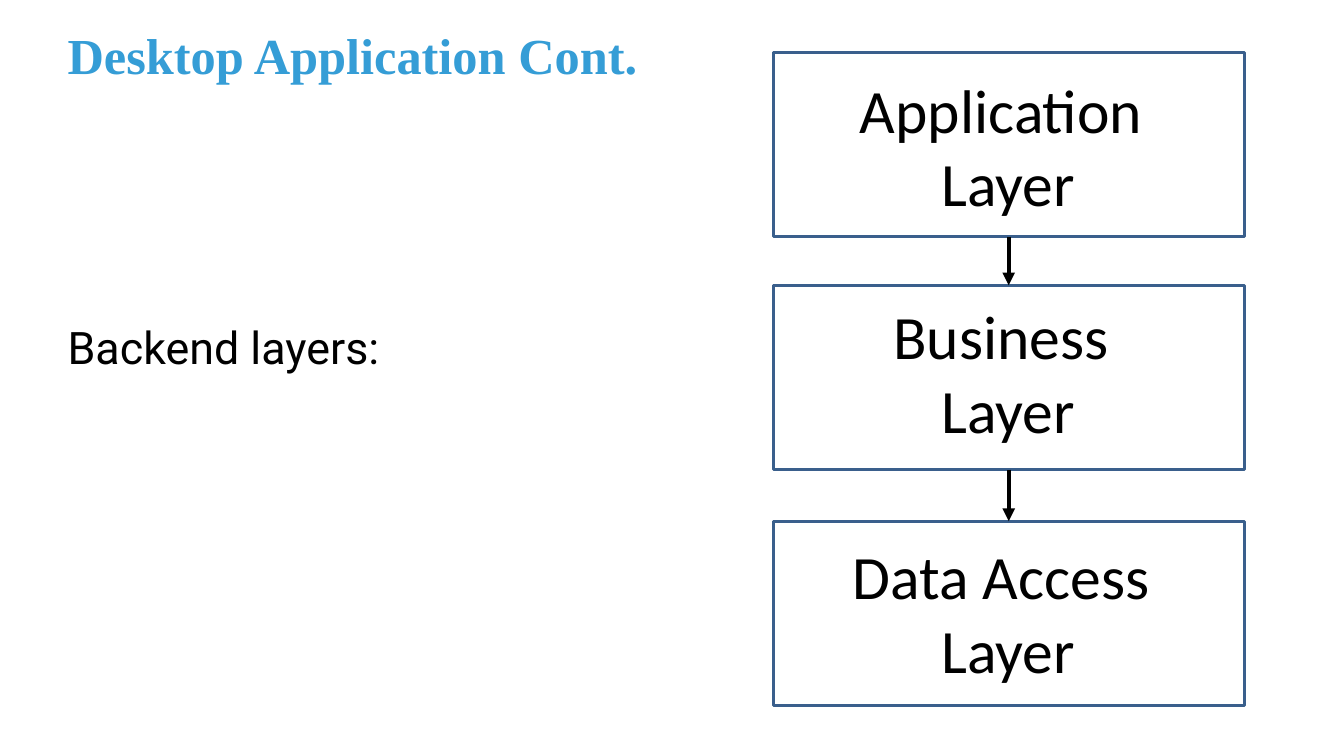
from lxml.etree import SubElement
from pptx import Presentation
from pptx.dml.color import RGBColor
from pptx.enum.shapes import MSO_CONNECTOR, MSO_SHAPE
from pptx.enum.text import MSO_ANCHOR, PP_ALIGN
from pptx.oxml.ns import qn
from pptx.util import Inches, Pt

COLORS = {"title": "359DD6", "text": "000000", "box": "FFFFFF", "border": "3A5F8C"}
LAYERS = [("Application ", 0.52, 0.66), ("Business ", 2.83, 2.91), ("Data Access ", 5.17, 5.29)]


def color(name):
    """Return the named colour."""
    return RGBColor.from_string(COLORS[name])


def place(sp, left, top, width, height):
    """Set the position and size of a shape."""
    sp.left, sp.top = Inches(left), Inches(top)
    sp.width, sp.height = Inches(width), Inches(height)


def write(sp, lines, font, size, fill="text", bold=False, align=PP_ALIGN.LEFT):
    """Write one paragraph for each line of text."""
    tf = sp.text_frame
    tf.word_wrap = True
    for i, line in enumerate(lines):
        p = tf.paragraphs[0] if i == 0 else tf.add_paragraph()
        p.alignment = align
        r = p.add_run()
        r.text = line
        r.font.name, r.font.size, r.font.bold = font, Pt(size), bold
        r.font.color.rgb = color(fill)


def trim(sp):
    """Remove the text margins and anchor the text at the bottom."""
    tf = sp.text_frame
    tf.margin_left = tf.margin_top = tf.margin_right = tf.margin_bottom = 0
    tf.vertical_anchor = MSO_ANCHOR.BOTTOM


def add_box(s, top):
    """Add the outlined rectangle of a layer."""
    sp = s.shapes.add_shape(MSO_SHAPE.RECTANGLE, Inches(7.67), Inches(top), Inches(4.67), Inches(1.83))
    sp.shadow.inherit = False
    sp.fill.solid()
    sp.fill.fore_color.rgb = color("box")
    sp.line.color.rgb = color("border")
    sp.line.width = Pt(2)
    return sp


def add_text(s, left, top, width, height):
    """Add an empty text box."""
    return s.shapes.add_textbox(Inches(left), Inches(top), Inches(width), Inches(height))


def add_arrow(s, upper, lower):
    """Join the bottom of one box to the top of the next."""
    c = s.shapes.add_connector(MSO_CONNECTOR.STRAIGHT, 0, 0, 0, 0)
    c.begin_connect(upper, 2)
    c.end_connect(lower, 0)
    c.line.color.rgb = color("text")
    c.line.width = Pt(3)
    SubElement(c.line._get_or_add_ln(), qn("a:tailEnd"), type="triangle")
    SubElement(c._element.spPr, qn("a:effectLst"))


def main():
    """Build the slide and save it."""
    prs = Presentation()
    prs.slide_width, prs.slide_height = Inches(13.33), Inches(7.5)
    s = prs.slides.add_slide(prs.slide_layouts[5])

    title = s.shapes.title
    place(title, 0.67, 0.23, 12, 0.61)
    trim(title)
    write(title, ["Desktop Application Cont."], "Times New Roman", 36, "title", True)

    body = add_text(s, 0.67, 3.17, 6.46, 0.54)
    trim(body)
    write(body, ["Backend layers:"], "Roboto", 32)

    boxes = [add_box(s, top) for _, top, _ in LAYERS]
    for name, _, top in LAYERS:
        label = add_text(s, 8, top, 4, 1.58)
        write(label, [name, "Layer"], "Calibri", 44, align=PP_ALIGN.CENTER)
    for upper, lower in zip(boxes, boxes[1:]):
        add_arrow(s, upper, lower)

    prs.save("out.pptx")


if __name__ == "__main__":
    main()
